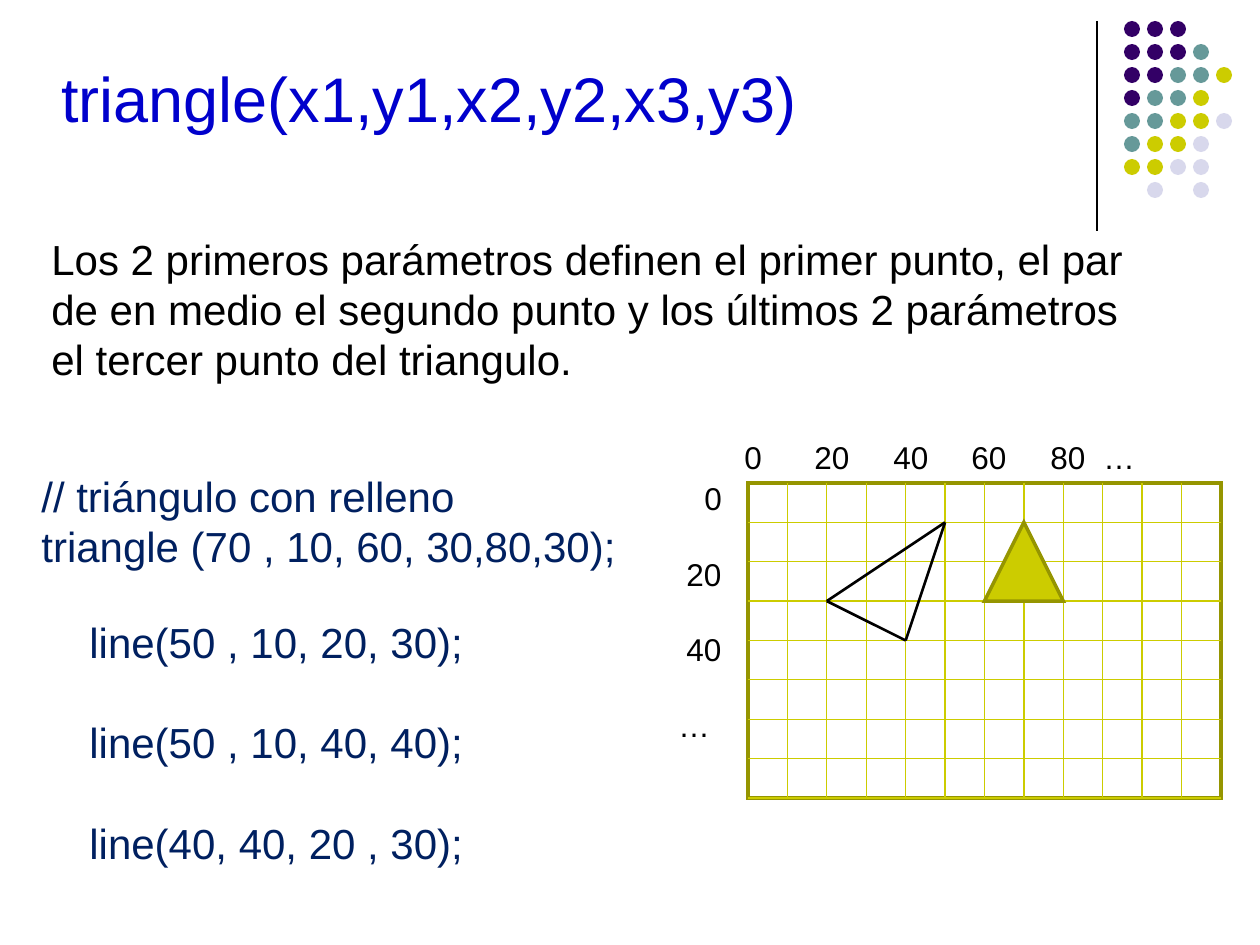
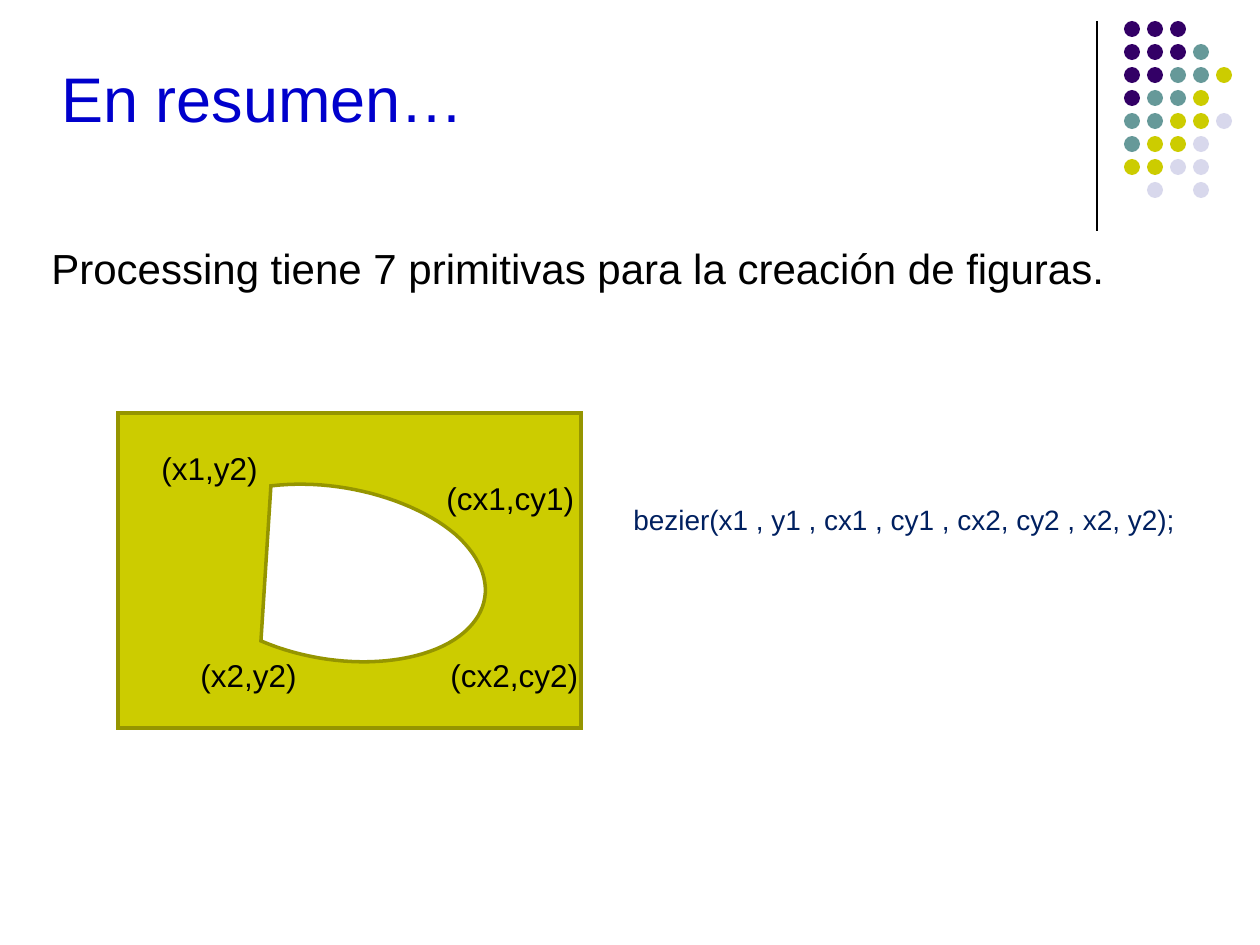
"""Two slides on drawing triangles and curves in code."""
import lxml.etree
import pptx
import pptx.dml.color
import pptx.enum.shapes
import pptx.enum.text
import pptx.oxml.ns
import pptx.util

RGB = pptx.dml.color.RGBColor
BLACK = RGB(0x00, 0x00, 0x00)
WHITE = RGB(0xFF, 0xFF, 0xFF)
BLUE = RGB(0x00, 0x00, 0xCC)
NAVY = RGB(0x00, 0x20, 0x60)
PLUM = RGB(0x33, 0x00, 0x66)
TEAL = RGB(0x66, 0x99, 0x99)
LIME = RGB(0xCC, 0xCC, 0x00)
OLIVE = RGB(0x95, 0x95, 0x00)
LILAC = RGB(0xD8, 0xD8, 0xEC)
FONT = "Arial"
SCALE = 914400 / 126
KIND = pptx.enum.shapes.MSO_SHAPE

DOTS = ["PPP", "PPPT", "PPTTY", "PTTY", "TTYYL", "TYYL", "YYLL", " L L"]
TINTS = {"P": PLUM, "T": TEAL, "Y": LIME, "L": LILAC}

HEADS = ["triangle(x1,y1,x2,y2,x3,y3)", "En resumen…"]
INTRO = ("Los 2 primeros parámetros definen el primer punto, el par de en medio "
         "el segundo punto y los últimos 2 parámetros el tercer punto del triangulo.")
SUMMARY = "Processing tiene 7 primitivas para la creación de figuras."
FILLED = ["// triángulo con relleno", "triangle (70 , 10, 60, 30,80,30);"]
LINES = ["line(50 , 10, 20, 30);", "line(50 , 10, 40, 40);", "line(40, 40, 20 , 30);"]
BEZIER = "bezier(x1 , y1 , cx1 , cy1 , cx2, cy2 , x2, y2);"

COLS = ["0", "20", "40", "60", "80", "…"]
STOPS = [70, 149, 227, 306, 359]
ROWS = ["0", "20", "40", "…"]
INDENTS = [52, 34, 34, 26]
GRID = (748, 483, 473, 315)
ACROSS, DOWN = 12, 8
EDGES = [(50, 10, 20, 30), (50, 10, 40, 40), (20, 30, 40, 40)]

LABELS = [("(cx1,cy1)", 434, 473), ("(x2,y2)", 188, 650),
          ("(x1,y2)", 149, 443), ("(cx2,cy2)", 438, 650)]
START = (271, 486)
CURVES = [[(336, 478), (412, 498), (455, 534)],
          [(498, 572), (495, 617), (449, 643)],
          [(402, 669), (324, 668), (261, 641)]]


def emu(px):
    return pptx.util.Emu(round(px * SCALE))


def paint(shape, fill, edge=None):
    shape.shadow.inherit = False
    shape.fill.solid()
    shape.fill.fore_color.rgb = fill
    if edge is None:
        shape.line.fill.background()
    else:
        shape.line.color.rgb = edge
        shape.line.width = pptx.util.Pt(2)
        stroke = shape._element.spPr.find(pptx.oxml.ns.qn("a:ln"))
        lxml.etree.SubElement(stroke, pptx.oxml.ns.qn("a:miter"), lim="800000")


def draw(slide, kind, box, fill, edge=None):
    paint(slide.shapes.add_shape(kind, *map(emu, box)), fill, edge)


def rule(slide, ends, color, width=0.75):
    line = slide.shapes.add_connector(
        pptx.enum.shapes.MSO_CONNECTOR.STRAIGHT, *map(emu, ends))
    line.line.color.rgb = color
    line.line.width = pptx.util.Pt(width)
    props = line._element.spPr
    lxml.etree.SubElement(props, pptx.oxml.ns.qn("a:effectLst"))


def write(slide, box, lines, size, color=BLACK, gap=0, middle=False,
          indents=(), stops=()):
    frame = slide.shapes.add_textbox(*map(emu, box)).text_frame
    frame.word_wrap = True
    if middle:
        frame.vertical_anchor = pptx.enum.text.MSO_ANCHOR.MIDDLE
    for i, words in enumerate(lines):
        para = frame.paragraphs[0] if i == 0 else frame.add_paragraph()
        para.line_spacing = pptx.util.Pt(round(size * 1.2, 1))
        para.space_before = pptx.util.Pt(gap if i else 0)
        run = para.add_run()
        run.text = words
        run.font.name = FONT
        run.font.size = pptx.util.Pt(size)
        run.font.color.rgb = color
        props = para._p.get_or_add_pPr()
        if indents:
            props.set("marL", str(emu(indents[i])))
            props.set("indent", "0")
        if stops:
            tabs = lxml.etree.SubElement(props, pptx.oxml.ns.qn("a:tabLst"))
            for stop in stops:
                lxml.etree.SubElement(tabs, pptx.oxml.ns.qn("a:tab"),
                                      pos=str(emu(stop)), algn="l")


def start(deck, head):
    slide = deck.slides.add_slide(deck.slide_layouts[6])
    rule(slide, (1097, 21, 1097, 231), BLACK)
    for row, marks in enumerate(DOTS):
        for col, mark in enumerate(marks):
            if mark in TINTS:
                box = (1124 + 23 * col, 21 + 23 * row, 16, 16)
                draw(slide, KIND.OVAL, box, TINTS[mark])
    write(slide, (49, 29, 1000, 136), [head], 36, BLUE, middle=True)
    return slide


def plot(x, y):
    left, top, wide, high = GRID
    return left + x * wide / ACROSS / 10, top + y * high / DOWN / 10


def triangle(deck):
    slide = start(deck, HEADS[0])
    write(slide, (39, 227, 1131, 164), [INTRO], 24)
    write(slide, (732, 432, 420, 50), ["\t".join(COLS)], 18, stops=STOPS)
    draw(slide, KIND.RECTANGLE, GRID, WHITE, OLIVE)
    for i in range(1, ACROSS):
        rule(slide, plot(10 * i, 0) + plot(10 * i, 10 * DOWN), LIME)
    for i in range(1, DOWN + 1):
        rule(slide, plot(0, 10 * i) + plot(10 * ACROSS, 10 * i), LIME)
    write(slide, (640, 473, 98, 315), ROWS, 18, gap=21.6, indents=INDENTS)
    write(slide, (29, 464, 639, 113), FILLED, 24, NAVY)
    for x1, y1, x2, y2 in EDGES:
        rule(slide, plot(x1, y1) + plot(x2, y2), BLACK, 1.5)
    write(slide, (77, 610, 420, 265), LINES, 24, NAVY, gap=28.8)
    left, top = plot(60, 10)
    right, base = plot(80, 30)
    draw(slide, KIND.ISOSCELES_TRIANGLE, (left, top, right - left, base - top),
         LIME, OLIVE)


def trace(first, curves, steps=24):
    points = []
    for a, b, end in curves:
        for i in range(1, steps + 1):
            t = i / steps
            parts = ((1 - t) ** 3, 3 * t * (1 - t) ** 2, 3 * t * t * (1 - t), t ** 3)
            points.append(tuple(emu(sum(w * p[k] for w, p in zip(parts, (first, a, b, end))))
                                for k in (0, 1)))
        first = end
    return points


def summary(deck):
    slide = start(deck, HEADS[1])
    write(slide, (39, 236, 1131, 63), [SUMMARY], 24)
    write(slide, (621, 496, 590, 79), [BEZIER], 16, NAVY)
    draw(slide, KIND.RECTANGLE, (118, 413, 463, 315), LIME, OLIVE)
    for words, left, top in LABELS:
        write(slide, (left, top, 170, 50), [words], 18)
    pen = slide.shapes.build_freeform(*map(emu, START))
    pen.add_line_segments(trace(START, CURVES), close=True)
    paint(pen.convert_to_shape(), WHITE, OLIVE)


def main():
    deck = pptx.Presentation()
    deck.slide_width, deck.slide_height = emu(1260), emu(945)
    triangle(deck)
    summary(deck)
    deck.save("out.pptx")


if __name__ == "__main__":
    main()
